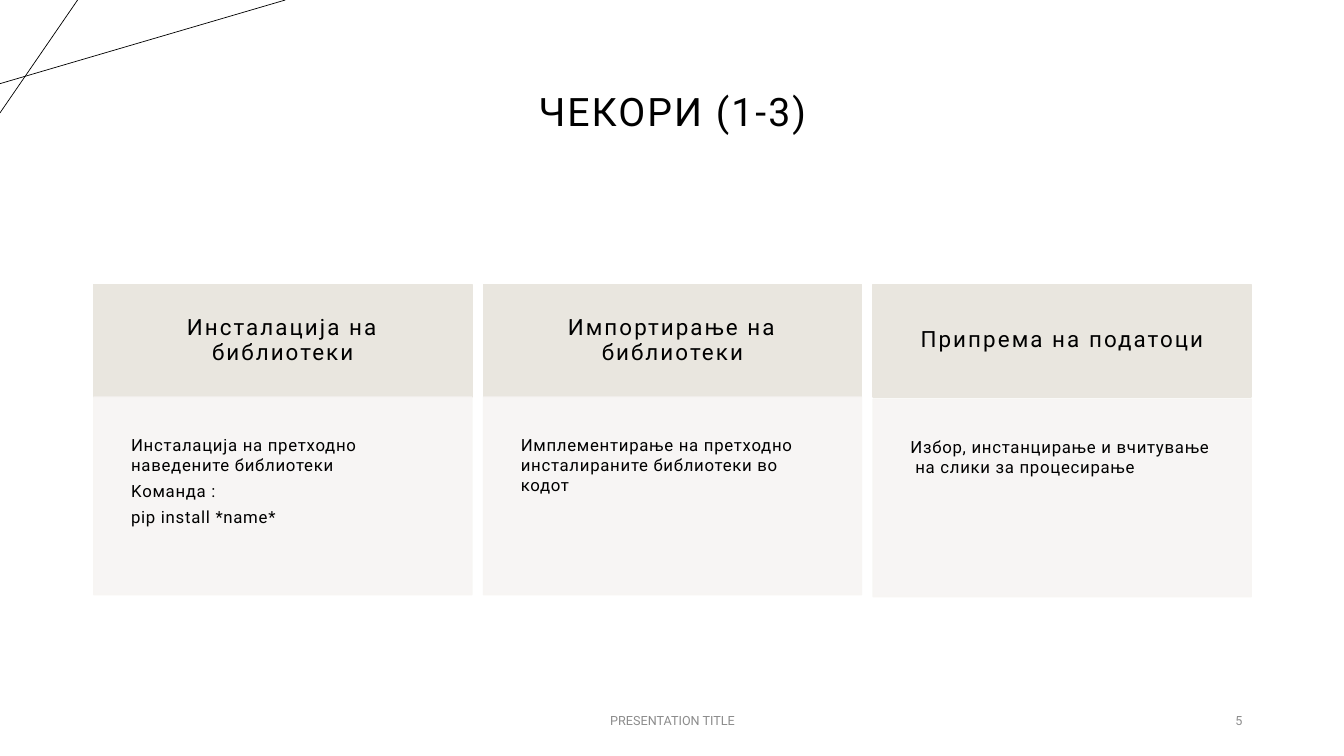
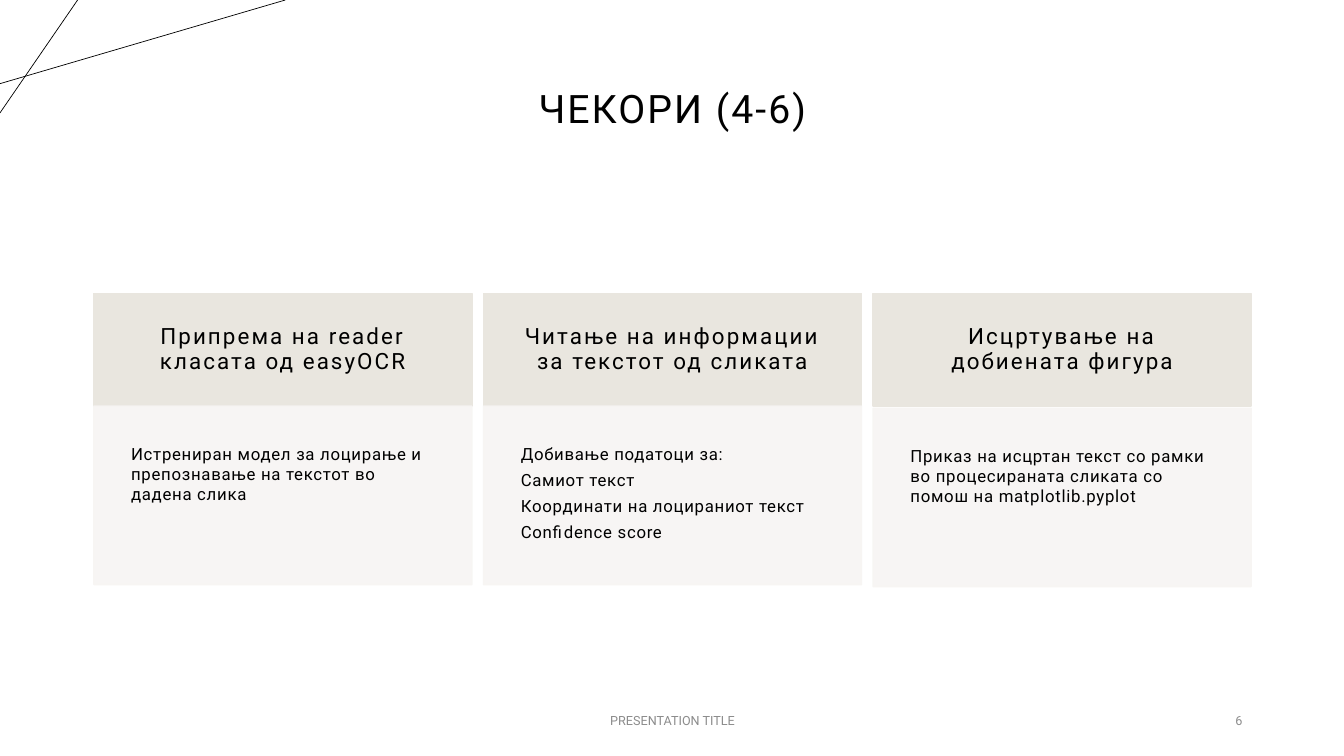
from lxml import etree
from pptx import Presentation
from pptx.dml.color import RGBColor
from pptx.enum.shapes import MSO_CONNECTOR, MSO_SHAPE
from pptx.enum.text import MSO_ANCHOR, PP_ALIGN
from pptx.oxml.ns import qn
from pptx.util import Inches, Pt

STRAIGHT = MSO_CONNECTOR.STRAIGHT
RECT = MSO_SHAPE.RECTANGLE
TOP, MIDDLE = MSO_ANCHOR.TOP, MSO_ANCHOR.MIDDLE
LEFT, CENTER, RIGHT = PP_ALIGN.LEFT, PP_ALIGN.CENTER, PP_ALIGN.RIGHT

FONT = "Roboto"
COLORS = {"text": "000000", "header": "E9E6DF", "body": "F7F5F3", "footer": "8C8C8C"}
CORNER_LINES = [(0, 0.83, 2.83, 0), (0.77, 0, 0, 1.12)]
FOOTER = "PRESENTATION TITLE"
GRID_LEFT, GRID_WIDTH, CARD_WIDTH = 0.93, 11.48, 3.75
HEADER_HEIGHT, LAST_BODY_DROP = 1.12, 0.02

SLIDES = [
    {
        "title": "ЧЕКОРИ (1-3)", "title_top": 0.4, "number": 5,
        "top": 2.82, "body_height": 1.96,
        "cards": [
            ("Инсталација на библиотеки",
             ["Инсталација на претходно наведените библиотеки",
              "Kоманда :", "pip install *name*"]),
            ("Импортирање на библиотеки",
             ["Имплементирање на претходно инсталираните библиотеки во кодот"]),
            ("Припрема на податоци",
             ["Избор, инстанцирање и вчитување  на слики за процесирање"]),
        ],
    },
    {
        "title": "ЧЕКОРИ (4-6)", "title_top": 0.37, "number": 6,
        "top": 2.91, "body_height": 1.77,
        "cards": [
            ("Припрема на reader класата од easyOCR",
             ["Истрениран модел за лоцирање и препознавање на текстот во дадена слика"]),
            ("Читање на информации за текстот од сликата",
             ["Добивање податоци за:", "Самиот текст",
              "Координати на лоцираниот текст", "Confidence score"]),
            ("Исцртување на добиената фигура",
             ["Приказ на исцртан текст со рамки во процесираната сликата "
              "со помош на matplotlib.pyplot"]),
        ],
    },
]


def rgb(name):
    return RGBColor.from_string(COLORS[name])


def write(shape, lines, size, align, anchor=MIDDLE, color="text",
          spacing=0, line_spacing=1.0, after=0, inset=None):
    tf = shape.text_frame
    tf.word_wrap = True
    tf.vertical_anchor = anchor
    if inset is not None:
        tf.margin_left = tf.margin_right = Inches(inset)
        tf.margin_top = tf.margin_bottom = Inches(inset)
    tf.text = "\n".join(lines)
    for p in tf.paragraphs:
        p.alignment = align
        p.line_spacing = line_spacing
        p.space_before = Pt(0)
        p.space_after = Pt(after)
        for r in p.runs:
            r.font.name = FONT
            r.font.size = Pt(size)
            r.font.color.rgb = rgb(color)
            r._r.get_or_add_rPr().set("spc", str(int(spacing * 100)))


def add_corner_lines(s, layout):
    for x1, y1, x2, y2 in CORNER_LINES:
        line = s.shapes.add_connector(
            STRAIGHT, Inches(x1), Inches(y1), Inches(x2), Inches(y2))
        line.line.color.rgb = rgb("text")
        line.line.width = Pt(0.5)
        etree.SubElement(line.element.spPr, qn("a:effectLst"))
        layout.shapes.element.append(line.element)


def add_panel(s, x, y, w, h, color, alpha=100):
    sp = s.shapes.add_shape(RECT, Inches(x), Inches(y), Inches(w), Inches(h))
    sp.shadow.inherit = False
    sp.fill.solid()
    sp.fill.fore_color.rgb = rgb(color)
    sp.line.color.rgb = rgb(color)
    sp.line.width = Pt(1)
    if alpha < 100:
        for clr in sp.element.spPr.iter(qn("a:srgbClr")):
            etree.SubElement(clr, qn("a:alpha")).set("val", str(alpha * 1000))
    return sp


def add_card(s, x, y, w, body_height, heading, lines, body_drop):
    header = add_panel(s, x, y, w, HEADER_HEIGHT, "header")
    write(header, [heading], 16, CENTER, spacing=1.5, line_spacing=0.9,
          after=5.6, inset=0.3)
    body = add_panel(s, x, y + HEADER_HEIGHT + body_drop, w, body_height, "body", 90)
    write(body, lines, 12, LEFT, TOP, spacing=0.5, after=4.2, inset=0.37)


def add_cards(s, x, y, w, body_height, cards):
    last = len(cards) - 1
    pitch = (w - CARD_WIDTH) / last
    for i, (heading, lines) in enumerate(cards):
        drop = LAST_BODY_DROP if i == last else 0
        add_card(s, x + i * pitch, y, CARD_WIDTH, body_height, heading, lines, drop)


def add_title(s, text, top):
    title = s.shapes.title
    title.left, title.top = Inches(0.92), Inches(top)
    title.width, title.height = Inches(11.5), Inches(1.45)
    write(title, [text], 28, CENTER, spacing=1.5, line_spacing=0.9)


def add_footer(s, number):
    for x, w, text, align in [(4.42, 4.5, FOOTER, CENTER),
                              (9.42, 3, str(number), RIGHT)]:
        box = s.shapes.add_textbox(Inches(x), Inches(6.95), Inches(w), Inches(0.4))
        write(box, [text], 9, align, color="footer")


def add_steps_slide(prs, layout, data):
    s = prs.slides.add_slide(layout)
    add_title(s, data["title"], data["title_top"])
    add_cards(s, GRID_LEFT, data["top"], GRID_WIDTH, data["body_height"], data["cards"])
    add_footer(s, data["number"])
    return s


def main():
    prs = Presentation()
    prs.slide_width, prs.slide_height = Inches(13.33), Inches(7.5)
    layout = prs.slide_layouts[5]
    slides = [add_steps_slide(prs, layout, data) for data in SLIDES]
    add_corner_lines(slides[0], layout)
    prs.save("out.pptx")


if __name__ == "__main__":
    main()
